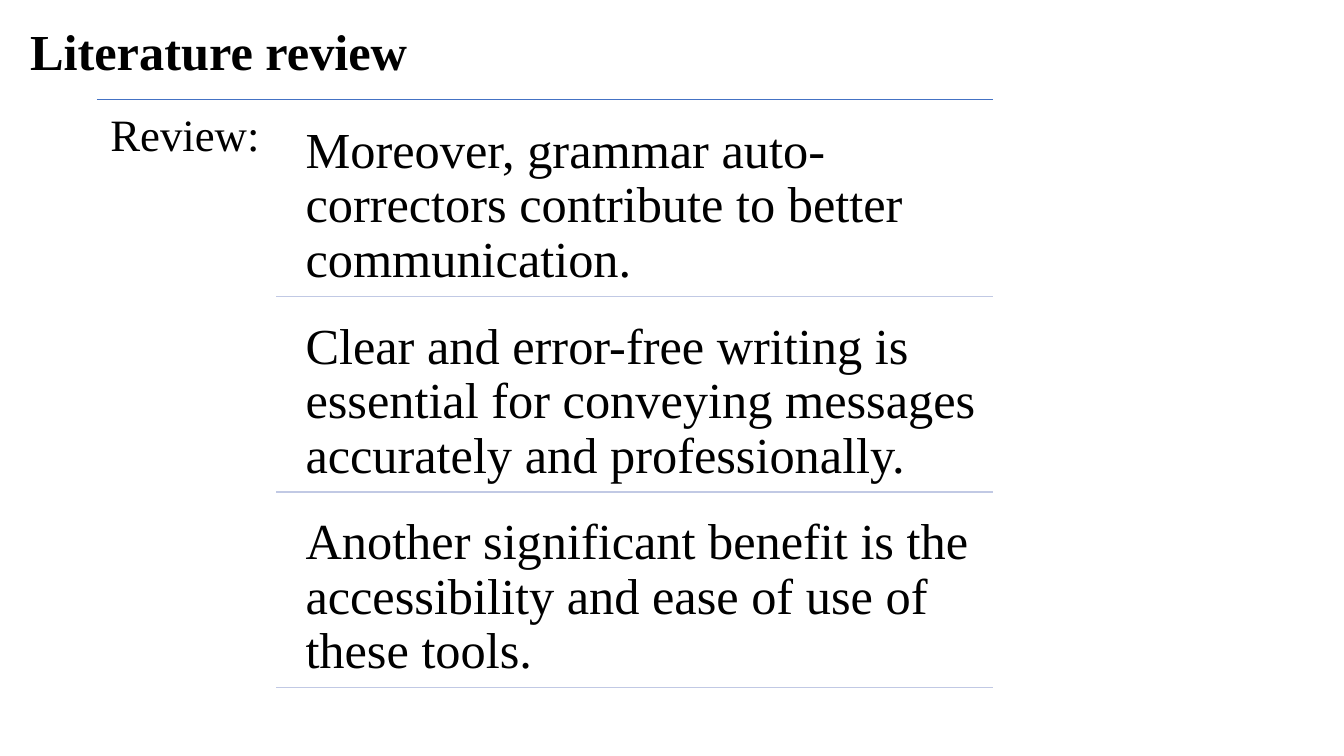
from lxml.etree import SubElement
from pptx import Presentation
from pptx.dml.color import RGBColor
from pptx.enum.shapes import MSO_CONNECTOR
from pptx.enum.text import MSO_AUTO_SIZE
from pptx.oxml.ns import qn
from pptx.util import Cm, Pt

COLORS = {"text": "000000", "top_rule": "4472C4", "row_rule": "C1C9E4"}

REVIEW_POINTS = [
    "Moreover, grammar auto-correctors contribute to better communication.",
    "Clear and error-free writing is essential for conveying messages "
    "accurately and professionally.",
    "Another significant benefit is the accessibility and ease of use of "
    "these tools.",
]

LABEL_LEFT, POINT_LEFT, RULE_LEFT, RULE_RIGHT = 2.44, 7.32, 6.96, 25.02
TOP_RULE, FIRST_POINT_TOP = 2.51, 2.77
POINT_HEIGHT, POINT_PITCH = 4.7, 4.93


class SlideBuilder:
    """Holds the text style and the slide being filled."""

    font_name = "Times New Roman"

    def __init__(self, slide):
        self.slide = slide

    def text(self, content, left, top, width, height, size=36, bold=False,
             inset=None, line_spacing=None, auto_size=MSO_AUTO_SIZE.NONE):
        """Add a text box; all lengths, insets included, are in centimetres."""
        box = self.slide.shapes.add_textbox(
            Cm(left), Cm(top), Cm(width), Cm(height))
        frame = box.text_frame
        frame_format = {"word_wrap": True, "auto_size": auto_size}
        if inset is not None:
            for side in ("left", "top", "right", "bottom"):
                frame_format[f"margin_{side}"] = Cm(inset)
        for name, value in frame_format.items():
            setattr(frame, name, value)

        paragraph = frame.paragraphs[0]
        paragraph.line_spacing = line_spacing
        run = paragraph.add_run()
        run.text = content
        font_format = {"name": self.font_name, "size": Pt(size), "bold": bold}
        for name, value in font_format.items():
            setattr(run.font, name, value)
        run.font.color.rgb = RGBColor.from_string(COLORS["text"])

    def rule(self, left, right, top, color):
        """Add a thin horizontal line."""
        connector = self.slide.shapes.add_connector(
            MSO_CONNECTOR.STRAIGHT, Cm(left), Cm(top), Cm(right), Cm(top))
        connector.line.width = Pt(1)
        connector.line.color.rgb = RGBColor.from_string(COLORS[color])
        SubElement(connector._element.spPr, qn("a:effectLst"))


def main():
    presentation = Presentation()
    presentation.slide_width = Cm(33.87)
    presentation.slide_height = Cm(19.05)
    builder = SlideBuilder(
        presentation.slides.add_slide(presentation.slide_layouts[6]))

    builder.text("Literature review", 0.51, 0.38, 12.55, 1.8, bold=True,
                 auto_size=MSO_AUTO_SIZE.SHAPE_TO_FIT_TEXT)
    builder.rule(LABEL_LEFT, RULE_RIGHT, TOP_RULE, "top_rule")
    builder.text("Review:", LABEL_LEFT, TOP_RULE, 4.52, 15.04, size=32,
                 inset=0.34, line_spacing=0.9)

    for index, point in enumerate(REVIEW_POINTS):
        top = FIRST_POINT_TOP + index * POINT_PITCH
        builder.text(point, POINT_LEFT, top, 17.73, POINT_HEIGHT,
                     inset=0.38, line_spacing=0.9)
        builder.rule(RULE_LEFT, RULE_RIGHT, top + POINT_HEIGHT, "row_rule")

    presentation.save("out.pptx")


if __name__ == "__main__":
    main()
